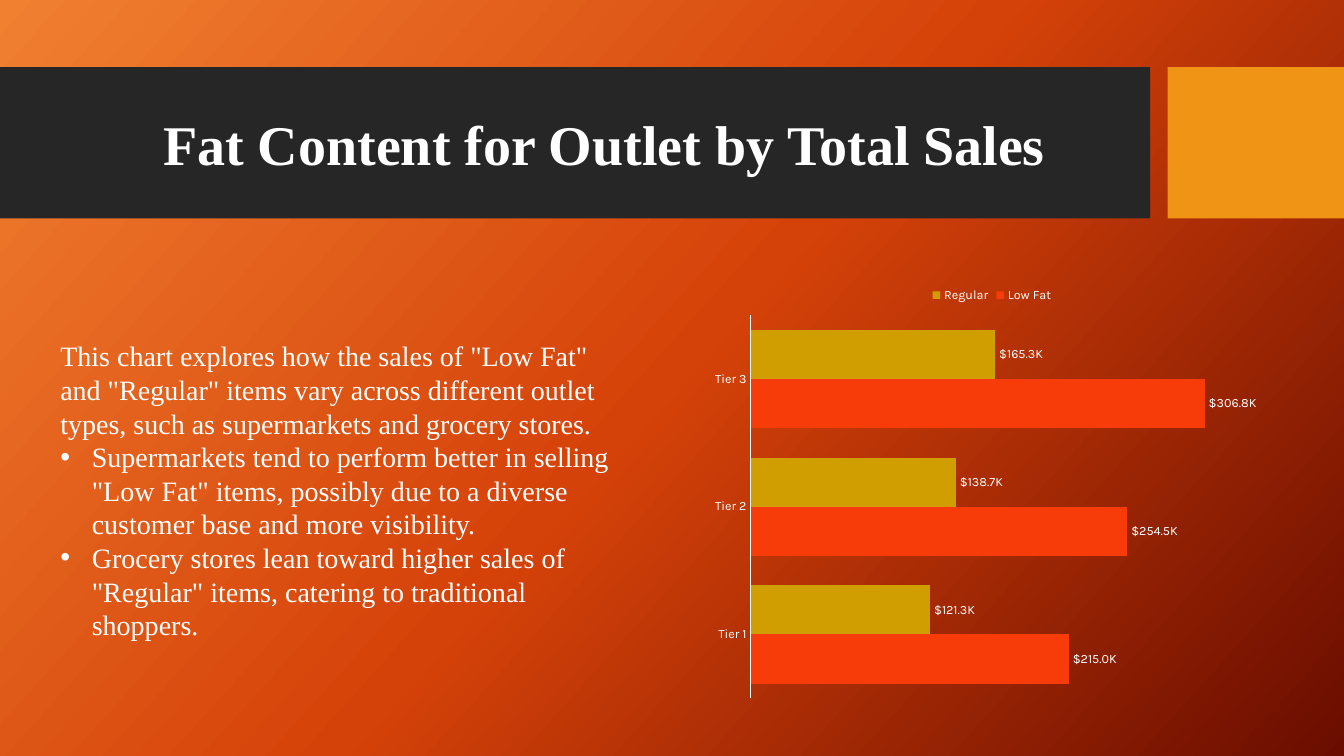
from copy import deepcopy

from lxml import etree
from pptx import Presentation
from pptx.chart.data import CategoryChartData
from pptx.dml.color import RGBColor
from pptx.enum import chart as charts, shapes, text
from pptx.util import Pt

WHITE = RGBColor(0xFF, 0xFF, 0xFF)
CHARCOAL = RGBColor(0x26, 0x26, 0x26)
AMBER = RGBColor(0xF0, 0x94, 0x15)
RED = RGBColor(0xF7, 0x3C, 0x09)
GOLD = RGBColor(0xD0, 0x9E, 0x00)
BACKGROUND = [
    (0, RGBColor(0xF1, 0x80, 0x31)),
    (0.5, RGBColor(0xD5, 0x42, 0x09)),
    (1, RGBColor(0x6A, 0x0D, 0x00)),
]
SERIF = "Times New Roman"
DOLLARS = '"$"0.0,"K"'

TITLE = "Fat Content for Outlet by Total Sales"
INTRO = ('This chart explores how the sales of "Low Fat" and "Regular" items vary across '
         'different outlet types, such as supermarkets and grocery stores.')
POINTS = [
    'Supermarkets tend to perform better in selling "Low Fat" items, possibly due to '
    'a diverse customer base and more visibility.',
    'Grocery stores lean toward higher sales of "Regular" items, catering to '
    'traditional shoppers.',
]
TIERS = ["Tier 1", "Tier 2", "Tier 3"]
SALES = [
    ("Low Fat", (215000, 254500, 306800), RED),
    ("Regular", (121300, 138700, 165300), GOLD),
]

# left, top, width, height in points
BANDS = [((0, 48, 821.5, 108), CHARCOAL), ((834, 48, 126, 108), AMBER)]
TITLE_AREA = (109.5, 75, 646, 55.5)
BODY_AREA = (36, 238.5, 421, 266.5)
CHART_AREA = (502.5, 197.5, 412, 307.5)
BULLET_INDENT = Pt(22.5)


def points(area):
    return [Pt(length) for length in area]


def style_font(font, size, name, bold=None):
    font.size = Pt(size)
    font.name = name
    font.bold = bold
    font.color.rgb = WHITE


def paint_background(page):
    fill = page.background.fill
    fill.gradient()
    fill.gradient_angle = 318
    stop_list = next(page.element.iter("{*}gsLst"))
    stop_list.append(deepcopy(stop_list[-1]))
    for stop, (position, color) in zip(fill.gradient_stops, BACKGROUND):
        stop.position = position
        stop.color.rgb = color


def add_text(page, area, lines, size, bold=None):
    frame = page.shapes.add_textbox(*points(area)).text_frame
    frame.word_wrap = True
    frame.auto_size = text.MSO_AUTO_SIZE.SHAPE_TO_FIT_TEXT
    frame.text = "\n".join(lines)
    for para in frame.paragraphs:
        style_font(para.runs[0].font, size, SERIF, bold)
    return frame


def add_bullet(para):
    props = para._p.get_or_add_pPr()
    props.set("marL", str(BULLET_INDENT))
    props.set("indent", str(-BULLET_INDENT))
    namespace = etree.QName(props).namespace
    etree.SubElement(props, f"{{{namespace}}}buFont", typeface="Arial")
    etree.SubElement(props, f"{{{namespace}}}buChar", char="•")


def add_sales_chart(page):
    data = CategoryChartData(number_format=DOLLARS)
    data.categories = TIERS
    for name, values, _ in SALES:
        data.add_series(name, values)
    chart = page.shapes.add_chart(
        charts.XL_CHART_TYPE.BAR_CLUSTERED, *points(CHART_AREA), data).chart
    style_font(chart.font, 10, "Cabin")
    chart.has_title = False
    chart.has_legend = True
    chart.legend.position = charts.XL_LEGEND_POSITION.TOP
    chart.legend.include_in_layout = False
    style_font(chart.legend.font, 9, "Karla")

    tier_axis = chart.category_axis
    tier_axis.major_tick_mark = charts.XL_TICK_MARK.NONE
    tier_axis.format.line.color.rgb = WHITE
    tier_axis.format.line.width = Pt(0.75)
    style_font(tier_axis.tick_labels.font, 9, "Karla")

    sales_axis = chart.value_axis
    sales_axis.visible = False
    sales_axis.has_major_gridlines = False
    sales_axis.minimum_scale = 0
    sales_axis.maximum_scale = 350000
    sales_axis.tick_labels.number_format = DOLLARS
    sales_axis.tick_labels.number_format_is_linked = False

    plot = chart.plots[0]
    plot.gap_width = 60
    plot.overlap = 0
    plot.vary_by_categories = False
    for series, (_, _, color) in zip(plot.series, SALES):
        series.format.fill.solid()
        series.format.fill.fore_color.rgb = color
        labels = series.data_labels
        labels.show_value = True
        labels.position = charts.XL_LABEL_POSITION.OUTSIDE_END
        labels.number_format = DOLLARS
        labels.number_format_is_linked = False
        style_font(labels.font, 9, "Karla")


def main():
    deck = Presentation()
    deck.slide_width, deck.slide_height = Pt(960), Pt(540)
    page = deck.slides.add_slide(deck.slide_layouts[6])
    paint_background(page)

    for area, color in BANDS:
        band = page.shapes.add_shape(shapes.MSO_SHAPE.RECTANGLE, *points(area))
        band.shadow.inherit = False
        band.fill.solid()
        band.fill.fore_color.rgb = color
        band.line.fill.background()

    add_sales_chart(page)
    add_text(page, TITLE_AREA, [TITLE], 40, bold=True)
    body = add_text(page, BODY_AREA, [INTRO, *POINTS], 20)
    for para in body.paragraphs:
        para.line_spacing = Pt(24)
    for para in body.paragraphs[1:]:
        add_bullet(para)

    deck.save("out.pptx")


if __name__ == "__main__":
    main()
